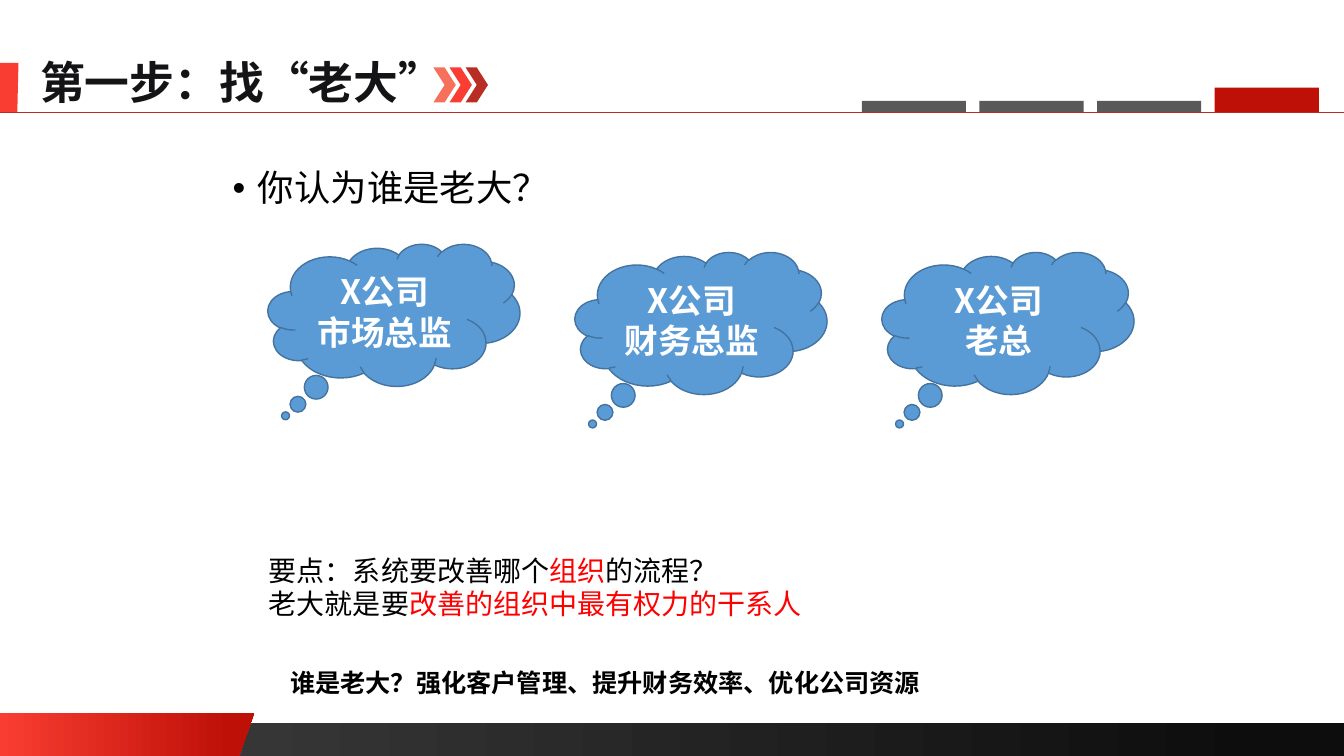
import pptx
import pptx.util
import pptx.dml.color
import pptx.enum.shapes
import pptx.enum.text
import pptx.oxml
import pptx.oxml.ns

Pt = pptx.util.Pt
SHAPES = pptx.enum.shapes.MSO_SHAPE
TEXT = pptx.enum.text

TITLE = [[("第一步：找“老大”", "ink")]]
QUESTION = [[("你认为谁是老大？", "black")]]
CLOUDS = [
    (("X公司", "市场总监"), 174.2),
    (("X公司", "财务总监"), 180),
    (("X公司", "老总"), 180),
]
KEY_POINTS = [
    [("要点：系统要改善哪个", "black"), ("组织", "alert"), ("的流程？", "black")],
    [("老大就是要", "black"), ("改善的组织中最有权力的干系人", "alert")],
]
ANSWER = [[("谁是老大？强化客户管理、提升财务效率、优化公司资源", "black")]]
CHEVRONS = ["coral", "red", "brick"]
TABS = [("grey", 8), ("grey", 8), ("grey", 8), ("crimson", 17.3)]

COLORS = {
    "black": "000000", "white": "FFFFFF", "ink": "141316", "alert": "FF0000",
    "red": "F93D32", "crimson": "BE1007", "brick": "B82E24", "coral": "F5715B",
    "grey": "595959", "charcoal": "404040", "night": "0D0D0D",
    "sky": "5B9BD5", "sky edge": "43739E",
}
CJK = "Noto Sans CJK SC"
WIDTH, HEIGHT, RULE_Y = 960, 540, 80


def rgb(name):
    return pptx.dml.color.RGBColor.from_string(COLORS[name])


def paint(part, fill, edge=None):
    part.shadow.inherit = False
    if isinstance(fill, tuple):
        part.fill.gradient()
        part.fill.gradient_angle = 0
        for stop, (position, name) in zip(part.fill.gradient_stops, fill):
            stop.position = position
            stop.color.rgb = rgb(name)
    else:
        part.fill.solid()
        part.fill.fore_color.rgb = rgb(fill)
    if edge:
        part.line.color.rgb = rgb(edge)
        part.line.width = Pt(1)
    else:
        part.line.fill.background()
    return part


def add_preset(preset, box, fill, edge=None):
    return paint(slide.shapes.add_shape(preset, *map(Pt, box)), fill, edge)


def add_outline(points, fill):
    corners = [(Pt(x), Pt(y)) for x, y in points]
    builder = slide.shapes.build_freeform(*corners[0], scale=1.0)
    builder.add_line_segments(corners[1:], close=True)
    return paint(builder.convert_to_shape(), fill)


def write(frame, lines, size, bold=False, name=CJK, align=None):
    for index, line in enumerate(lines):
        paragraph = frame.paragraphs[0] if index == 0 else frame.add_paragraph()
        paragraph.alignment = align
        for text, color in line:
            run = paragraph.add_run()
            run.text = text
            for key, value in {"size": Pt(size), "bold": bold, "name": name}.items():
                setattr(run.font, key, value)
            run.font.color.rgb = rgb(color)
            east_asian = pptx.oxml.parse_xml(
                f'<a:ea {pptx.oxml.ns.nsdecls("a")} typeface="{CJK}"/>')
            run.font._element.find(pptx.oxml.ns.qn("a:latin")).addnext(east_asian)


def add_text(box, lines, size, wrap=False, **style):
    frame = slide.shapes.add_textbox(*map(Pt, box)).text_frame
    frame.word_wrap = wrap
    write(frame, lines, size, **style)
    return frame


deck = pptx.Presentation()
deck.slide_width, deck.slide_height = Pt(WIDTH), Pt(HEIGHT)
slide = deck.slides.add_slide(deck.slide_layouts[6])

add_preset(SHAPES.RECTANGLE, (0, 516.4, WIDTH, 23.6), ((0, "charcoal"), (0.94, "night")))
add_outline([(0, 509.3), (181.5, 509.3), (170.8, HEIGHT), (0, HEIGHT)],
            ((0, "red"), (0.91, "crimson")))
add_outline([(0, 44.9), (13.2, 44.9), (12.4, 80.4), (0, 80.4)], "red")

question = add_text((159.1, 118.1, 680.4, 345.6), QUESTION, 26, wrap=True).paragraphs[0]
question.line_spacing = 0.9
properties = question._p.get_or_add_pPr()
for key, value in {"marL": "228600", "indent": "-228600"}.items():
    properties.set(key, value)
for tag in ('buFont {} typeface="Arial"', 'buChar {} char="•"'):
    properties.append(pptx.oxml.parse_xml(f'<a:{tag.format(pptx.oxml.ns.nsdecls("a"))}/>'))

for index, (owner, top) in enumerate(CLOUDS):
    cloud = add_preset(SHAPES.CLOUD_CALLOUT, (191.4 + 219.3 * index, top, 180, 101.5),
                       "sky", "sky edge")
    cloud.adjustments[0], cloud.adjustments[1] = -0.43, 0.71
    cloud.text_frame.word_wrap = True
    cloud.text_frame.vertical_anchor = TEXT.MSO_ANCHOR.MIDDLE
    write(cloud.text_frame, [[(line, "white")] for line in owner], 24, bold=True,
          align=TEXT.PP_ALIGN.CENTER)

add_text((21.6, 35.3, 305.3, 46), TITLE, 32, bold=True)

rule = slide.shapes.add_connector(pptx.enum.shapes.MSO_CONNECTOR.STRAIGHT,
                                  0, Pt(RULE_Y), Pt(WIDTH), Pt(RULE_Y))
rule.line.color.rgb = rgb("brick")
rule.line.width = Pt(0.5)
rule._element.spPr.append(
    pptx.oxml.parse_xml(f'<a:effectLst {pptx.oxml.ns.nsdecls("a")}/>'))

for index, color in enumerate(CHEVRONS):
    add_preset(SHAPES.CHEVRON, (309.6 + 11.5 * index, 48.2, 16, 25), color)

for index, (color, height) in enumerate(TABS):
    add_preset(SHAPES.RECTANGLE, (615.6 + 84 * index, RULE_Y - height, 74.4, height), color)

add_text((185, 391.7, 398.2, 55.4), KEY_POINTS, 20)
add_text((200.2, 473, 472.3, 28.8), ANSWER, 18, bold=True, name="Calibri")

deck.save("out.pptx")
